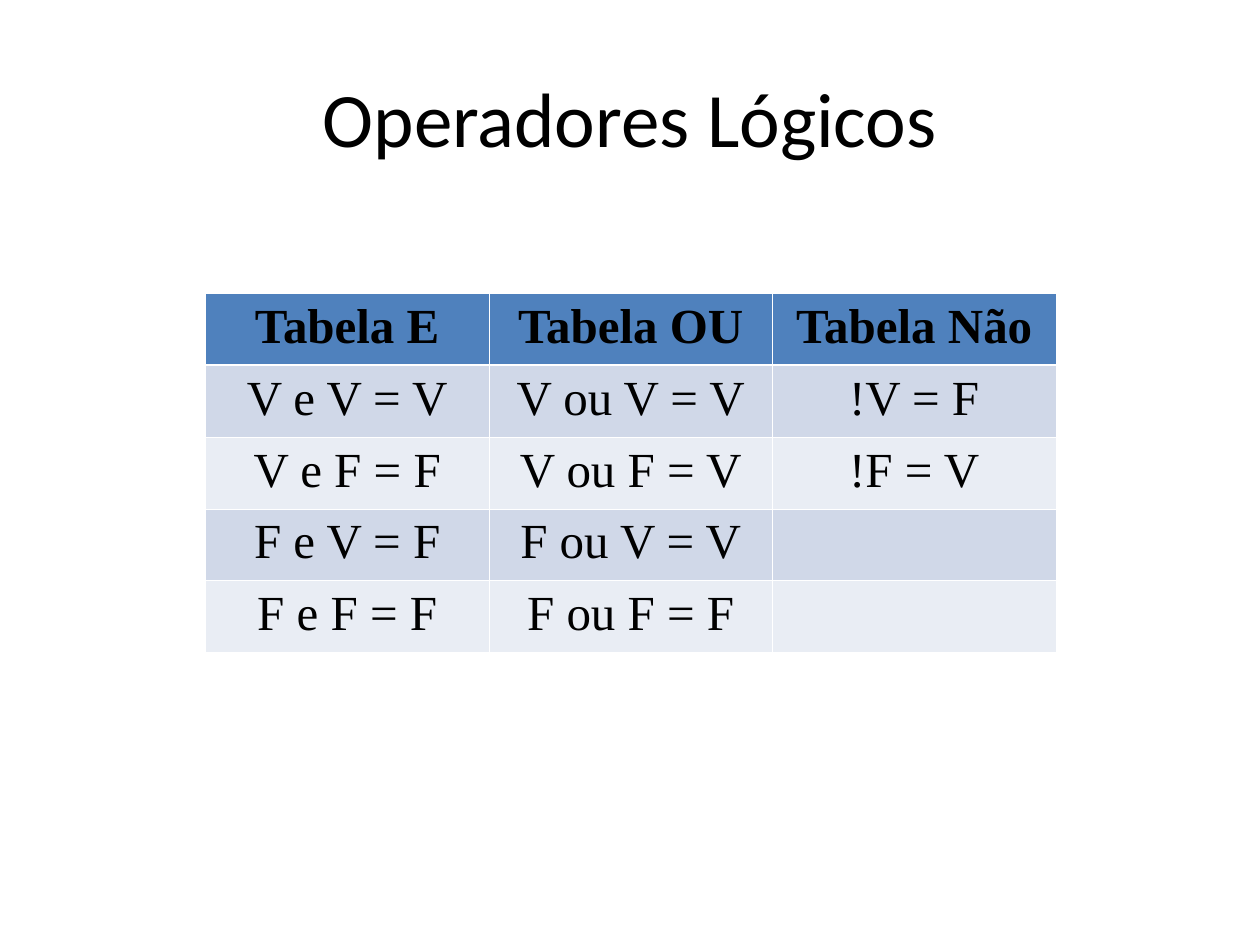
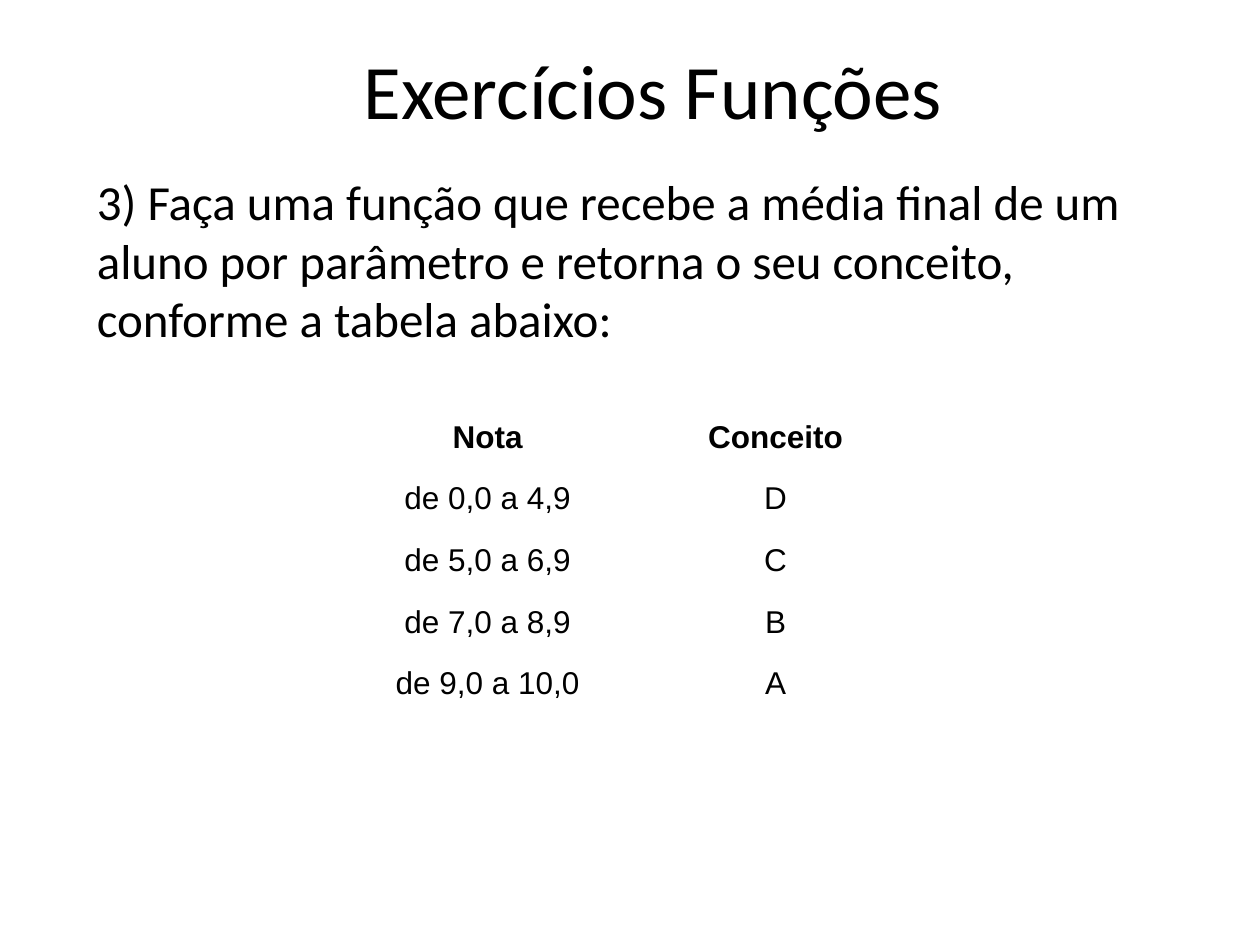
from lxml.etree import SubElement
from pptx import Presentation
from pptx.dml.color import RGBColor
from pptx.enum.text import MSO_ANCHOR, PP_ALIGN
from pptx.oxml.ns import qn
from pptx.util import Inches, Pt

COLORS = {"text": "000000", "header": "4F81BD", "band_dark": "D0D8E8",
          "band_light": "E9EDF4", "border": "FFFFFF"}
TITLE_FORMAT = {"name": "Calibri", "size": Pt(44), "bold": False}
BODY_FORMAT = {"name": "Calibri", "size": Pt(28), "bold": False}
THIN_BORDER, HEADER_BORDER = 0.45, 1.47

presentation = Presentation()
presentation.slide_width = Inches(10)
presentation.slide_height = Inches(7.5)


def write_text(text_frame, text, font_format, alignment):
    text_frame.text = text
    text_frame.word_wrap = True
    paragraph = text_frame.paragraphs[0]
    paragraph.alignment = alignment
    font = paragraph.runs[0].font
    for attribute, value in font_format.items():
        setattr(font, attribute, value)
    font.color.rgb = RGBColor.from_string(COLORS["text"])


def draw_border(cell, side, width):
    line = SubElement(cell._tc.get_or_add_tcPr(), qn(f"a:{side}"), w=str(Pt(width)))
    fill = SubElement(line, qn("a:solidFill"))
    SubElement(fill, qn("a:srgbClr"), val=COLORS["border"])


slide_contents = [
    {
        "title": "Operadores Lógicos",
        "title_box": (0.5, 0.3, 9, 1.25),
        "table_corner": (1.63, 2.33),
        "column_widths": [2.25, 2.25, 2.25],
        "row_height": 0.57,
        "cell_format": {"name": "Times New Roman", "size": Pt(28)},
        "filled": True,
        "rows": [
            ("Tabela E", "Tabela OU", "Tabela Não"),
            ("V e V = V", "V ou V = V", "!V = F"),
            ("V e F = F", "V ou F = V", "!F = V"),
            ("F e V = F", "F ou V = V", ""),
            ("F e F = F", "F ou F = F", ""),
        ],
    },
    {
        "title": "Exercícios Funções",
        "title_box": (1.29, 0.28, 7.79, 0.84),
        "body": "3) Faça uma função que recebe a média final de um aluno por "
                "parâmetro e retorna o seu conceito, conforme a tabela abaixo:",
        "body_box": (0.67, 1.31, 8.42, 2.21),
        "table_corner": (2.59, 3.28),
        "column_widths": [2.56, 2.01],
        "row_height": 0.49,
        "cell_format": {"name": "Arial", "size": Pt(18)},
        "filled": False,
        "rows": [
            ("Nota", "Conceito"),
            ("de 0,0 a 4,9", "D"),
            ("de 5,0 a 6,9", "C"),
            ("de 7,0 a 8,9", "B"),
            ("de 9,0 a 10,0", "A"),
        ],
    },
]

for content in slide_contents:
    slide = presentation.slides.add_slide(presentation.slide_layouts[5])

    title = slide.shapes.title
    title.left, title.top, title.width, title.height = map(Inches, content["title_box"])
    write_text(title.text_frame, content["title"], TITLE_FORMAT, PP_ALIGN.CENTER)
    title.text_frame.vertical_anchor = MSO_ANCHOR.MIDDLE

    if "body" in content:
        body = slide.shapes.add_textbox(*map(Inches, content["body_box"]))
        write_text(body.text_frame, content["body"], BODY_FORMAT, PP_ALIGN.LEFT)

    rows = content["rows"]
    widths = content["column_widths"]
    left, top = content["table_corner"]
    table = slide.shapes.add_table(
        len(rows), len(widths), Inches(left), Inches(top),
        Inches(sum(widths)), Inches(content["row_height"] * len(rows))).table
    table.first_row = content["filled"]
    table.horz_banding = content["filled"]
    for column, width in zip(table.columns, widths):
        column.width = Inches(width)

    for row_index, row in enumerate(rows):
        table.rows[row_index].height = Inches(content["row_height"])
        for column_index, text in enumerate(row):
            cell = table.cell(row_index, column_index)
            if text:
                cell_format = {**content["cell_format"], "bold": row_index == 0}
                write_text(cell.text_frame, text, cell_format, PP_ALIGN.CENTER)
            if not content["filled"]:
                cell.fill.background()
                continue
            border_widths = {
                "lnL": THIN_BORDER,
                "lnR": THIN_BORDER,
                "lnT": HEADER_BORDER if row_index == 1 else THIN_BORDER,
                "lnB": HEADER_BORDER if row_index == 0 else THIN_BORDER,
            }
            for side, width in border_widths.items():
                draw_border(cell, side, width)
            band = "band_dark" if row_index % 2 else "band_light"
            cell.fill.solid()
            cell.fill.fore_color.rgb = RGBColor.from_string(
                COLORS["header" if row_index == 0 else band])

presentation.save("out.pptx")
